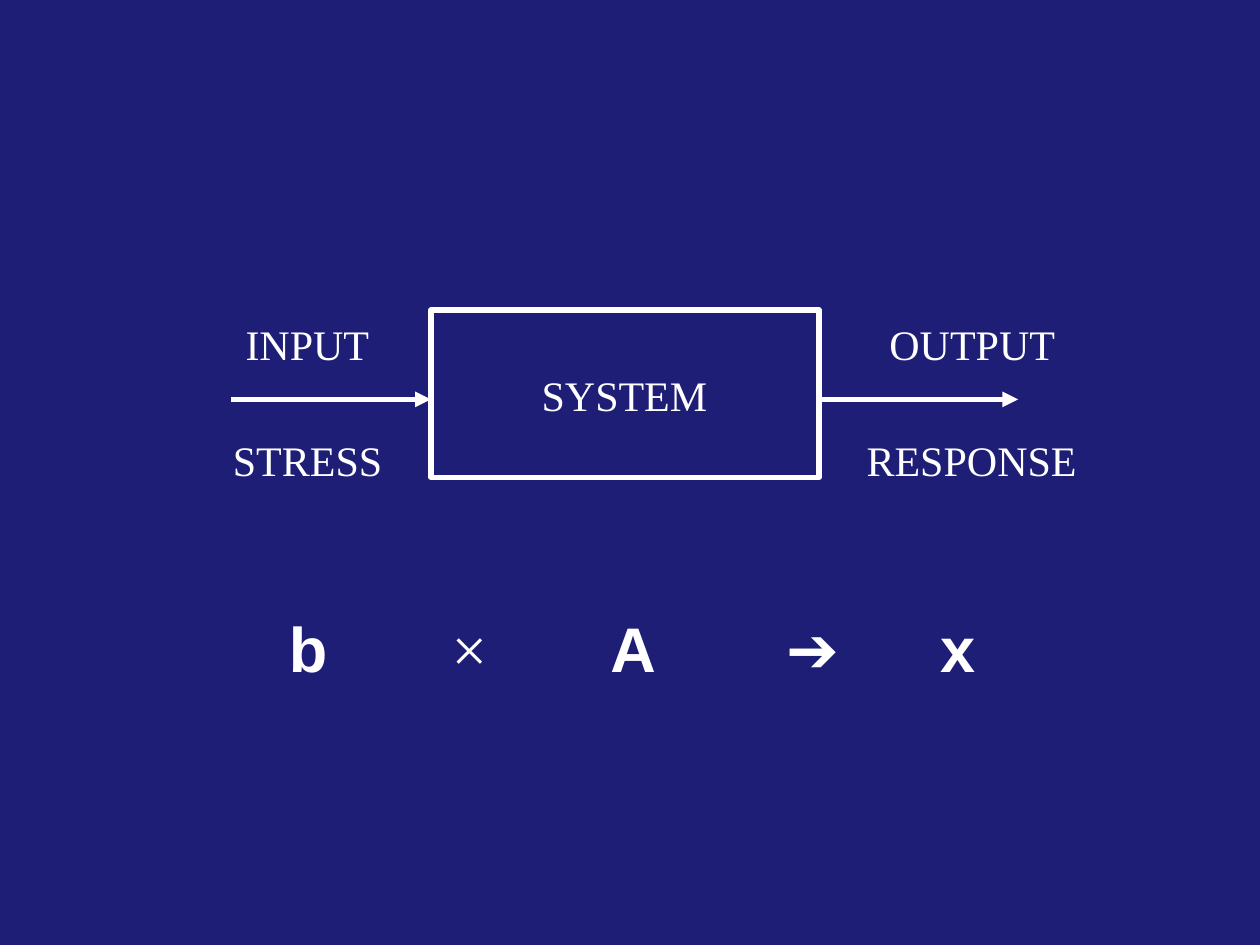
from lxml.etree import SubElement
from pptx import Presentation
from pptx.dml.color import RGBColor
from pptx.enum.shapes import MSO_CONNECTOR, MSO_SHAPE
from pptx.enum.text import MSO_AUTO_SIZE, PP_ALIGN
from pptx.oxml.ns import qn
from pptx.util import Inches, Pt

NAVY = RGBColor(0x1E, 0x1E, 0x76)
WHITE = RGBColor(0xFF, 0xFF, 0xFF)

LABEL = {"name": "Times New Roman", "size": Pt(24), "bold": False}
SYMBOL = {"name": "Arial", "size": Pt(36), "bold": True}
TIMES_SIGN = {**SYMBOL, "name": "Times New Roman", "bold": False}
ARROW_SIGN = {**SYMBOL, "bold": False}


class Diagram:
    """Hold the style and the current slide, and draw each kind of element."""

    def __init__(self, slide, color, line_width):
        self.slide = slide
        self.color = color
        self.line_width = line_width

    def stroke(self, line):
        line.color.rgb = self.color
        line.width = self.line_width

    def frame(self, left, top, width, height):
        box = self.slide.shapes.add_shape(
            MSO_SHAPE.RECTANGLE, Inches(left), Inches(top), Inches(width), Inches(height)
        )
        box.shadow.inherit = False
        box.fill.background()
        self.stroke(box.line)

    def arrow(self, tip, tail, y):
        connector = self.slide.shapes.add_connector(
            MSO_CONNECTOR.STRAIGHT, Inches(tip), Inches(y), Inches(tail), Inches(y)
        )
        self.stroke(connector.line)
        properties = connector.line._get_or_add_ln()
        SubElement(properties, qn("a:headEnd"), type="triangle")
        SubElement(properties.getparent(), qn("a:effectLst"))

    def text(self, wording, left, top, width, height, style, align):
        box = self.slide.shapes.add_textbox(
            Inches(left), Inches(top), Inches(width), Inches(height)
        )
        box.text_frame.word_wrap = False
        box.text_frame.auto_size = MSO_AUTO_SIZE.SHAPE_TO_FIT_TEXT
        para = box.text_frame.paragraphs[0]
        para.alignment = align
        span = para.add_run()
        span.text = wording
        for attribute, value in style.items():
            setattr(span.font, attribute, value)
        span.font.color.rgb = self.color


def main():
    deck = Presentation()
    deck.slide_width, deck.slide_height = Inches(10), Inches(7.5)
    page = deck.slides.add_slide(deck.slide_layouts[6])
    page.background.fill.solid()
    page.background.fill.fore_color.rgb = NAVY

    diagram = Diagram(page, WHITE, Pt(3))
    diagram.frame(3.42, 2.46, 3.08, 1.33)
    for tip, tail in ((3.42, 1.83), (8.08, 6.5)):
        diagram.arrow(tip, tail, 3.17)

    above, middle, below = 2.48, 2.88, 3.4
    labels = (
        ("SYSTEM", 4.2, middle, 1.52),
        ("INPUT", 1.85, above, 1.18),
        ("STRESS", 1.75, below, 1.39),
        ("OUTPUT", 6.96, above, 1.52),
        ("RESPONSE", 6.78, below, 1.87),
    )
    for wording, left, top, width in labels:
        diagram.text(wording, left, top, width, 0.5, LABEL, PP_ALIGN.LEFT)

    equation = (
        ("b", 2.19, 0.51, SYMBOL),
        ("×", 3.48, 0.49, TIMES_SIGN),
        ("A", 4.74, 0.57, SYMBOL),
        ("➔", 6.08, 0.74, ARROW_SIGN),
        ("x", 7.36, 0.48, SYMBOL),
    )
    for wording, left, width, style in equation:
        diagram.text(wording, left, 4.79, width, 0.71, style, PP_ALIGN.CENTER)

    deck.save("out.pptx")


if __name__ == "__main__":
    main()
